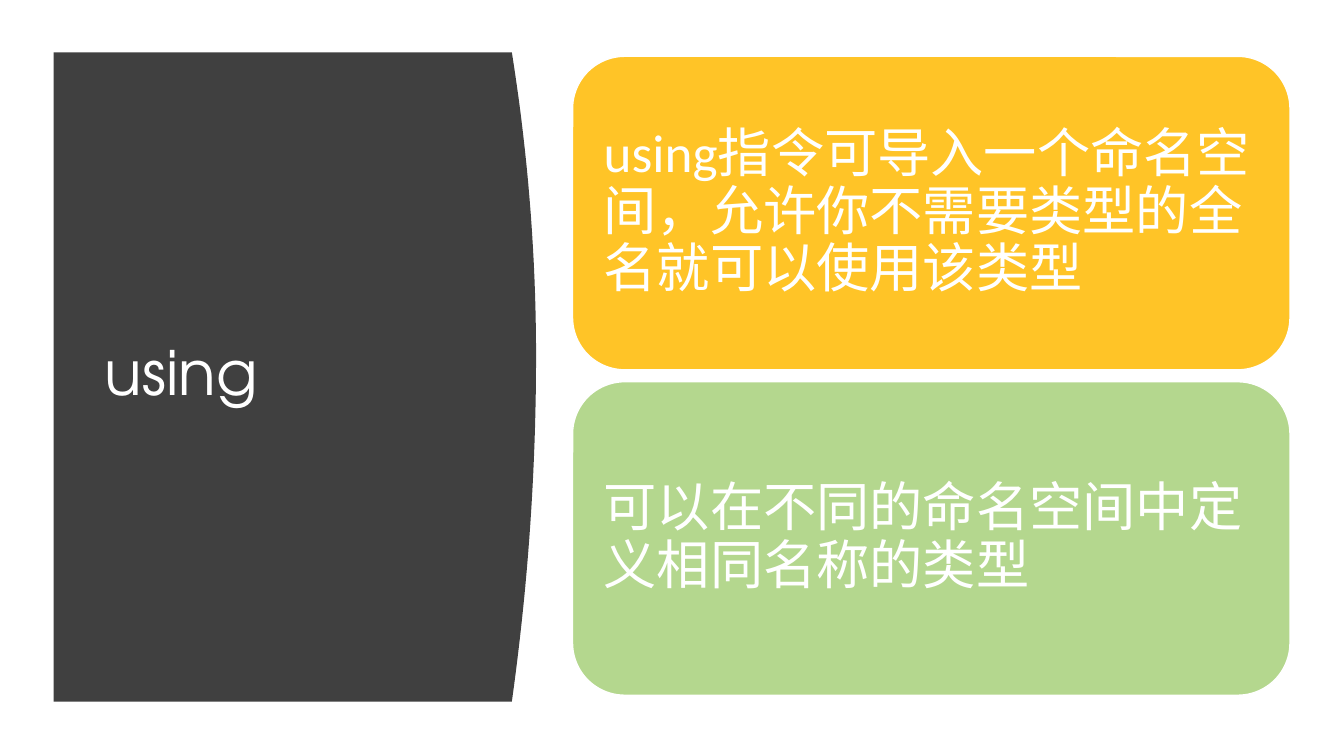
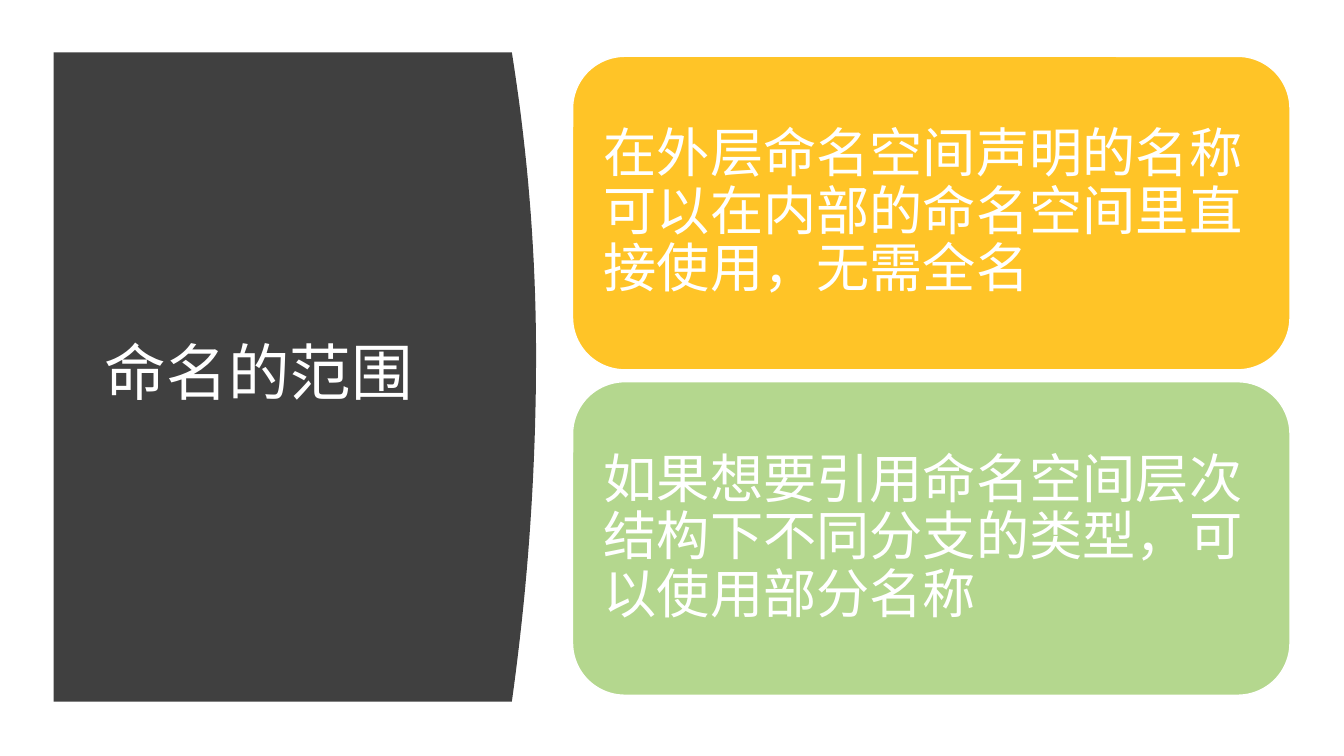
from dataclasses import dataclass

from pptx import Presentation
from pptx.dml import color
from pptx.enum import shapes, text
from pptx.util import Cm, Pt


@dataclass(frozen=True)
class Theme:
    panel: str = "404040"
    cards: tuple = ("FFC427", "B4D78E")
    light: str = "FFFFFF"
    title_font: str = "TeX Gyre Adventor"
    card_font: str = "Calibri"
    title_size: int = 44
    card_size: int = 38


theme = Theme()


def paint(shape, fill, line=None):
    shape.shadow.inherit = False
    shape.fill.solid()
    shape.fill.fore_color.rgb = color.RGBColor.from_string(fill)
    if line:
        shape.line.color.rgb = color.RGBColor.from_string(line)
        shape.line.width = Pt(1)
    else:
        shape.line.fill.background()


def write(shape, wording, font, size):
    frame = shape.text_frame
    frame.text = wording
    frame.word_wrap = True
    frame.auto_size = text.MSO_AUTO_SIZE.NONE
    frame.vertical_anchor = text.MSO_ANCHOR.MIDDLE
    paragraph = frame.paragraphs[0]
    paragraph.alignment = text.PP_ALIGN.LEFT
    paragraph.line_spacing = 0.9
    run_font = paragraph.runs[0].font
    run_font.name = font
    run_font.size = Pt(size)
    run_font.color.rgb = color.RGBColor.from_string(theme.light)


topics = [
    ("using", [
        "using指令可导入一个命名空间，允许你不需要类型的全名就可以使用该类型",
        "可以在不同的命名空间中定义相同名称的类型",
    ]),
    ("命名的范围", [
        "在外层命名空间声明的名称可以在内部的命名空间里直接使用，无需全名",
        "如果想要引用命名空间层次结构下不同分支的类型，可以使用部分名称",
    ]),
]

panel_left, panel_top, panel_bottom = 1.35, 1.32, 17.68
bulge_x, bulge_y, bulge_depth = 13.51, 8.97, 0.61
curve_steps = 40
curve = []
for step in range(curve_steps + 1):
    y = panel_top + (panel_bottom - panel_top) * step / curve_steps
    reach = bulge_y - panel_top if y < bulge_y else panel_bottom - bulge_y
    x = bulge_x - bulge_depth * ((y - bulge_y) / reach) ** 2
    curve.append((Cm(x), Cm(y)))

card_left, card_top, card_width, card_height, card_gap = 14.43, 1.42, 18.08, 7.9, 0.3

deck = Presentation()
deck.slide_width = Cm(33.87)
deck.slide_height = Cm(19.05)

for heading, statements in topics:
    slide = deck.slides.add_slide(deck.slide_layouts[5])

    outline = slide.shapes.build_freeform(Cm(panel_left), Cm(panel_top))
    outline.add_line_segments(curve + [(Cm(panel_left), Cm(panel_bottom))])
    panel = outline.convert_to_shape()
    paint(panel, theme.panel)

    title = slide.shapes.title
    panel.element.addnext(title.element)
    title.left, title.top = Cm(2.39), Cm(2.82)
    title.width, title.height = Cm(9.5), Cm(13.31)
    write(title, heading, theme.title_font, theme.title_size)

    for row, (statement, fill) in enumerate(zip(statements, theme.cards)):
        card = slide.shapes.add_shape(
            shapes.MSO_SHAPE.ROUNDED_RECTANGLE,
            Cm(card_left), Cm(card_top + row * (card_height + card_gap)),
            Cm(card_width), Cm(card_height))
        paint(card, fill, theme.light)
        write(card, statement, theme.card_font, theme.card_size)
        frame = card.text_frame
        frame.margin_left = frame.margin_right = Cm(0.4)
        frame.margin_top = frame.margin_bottom = Cm(0.4)

deck.save("out.pptx")
